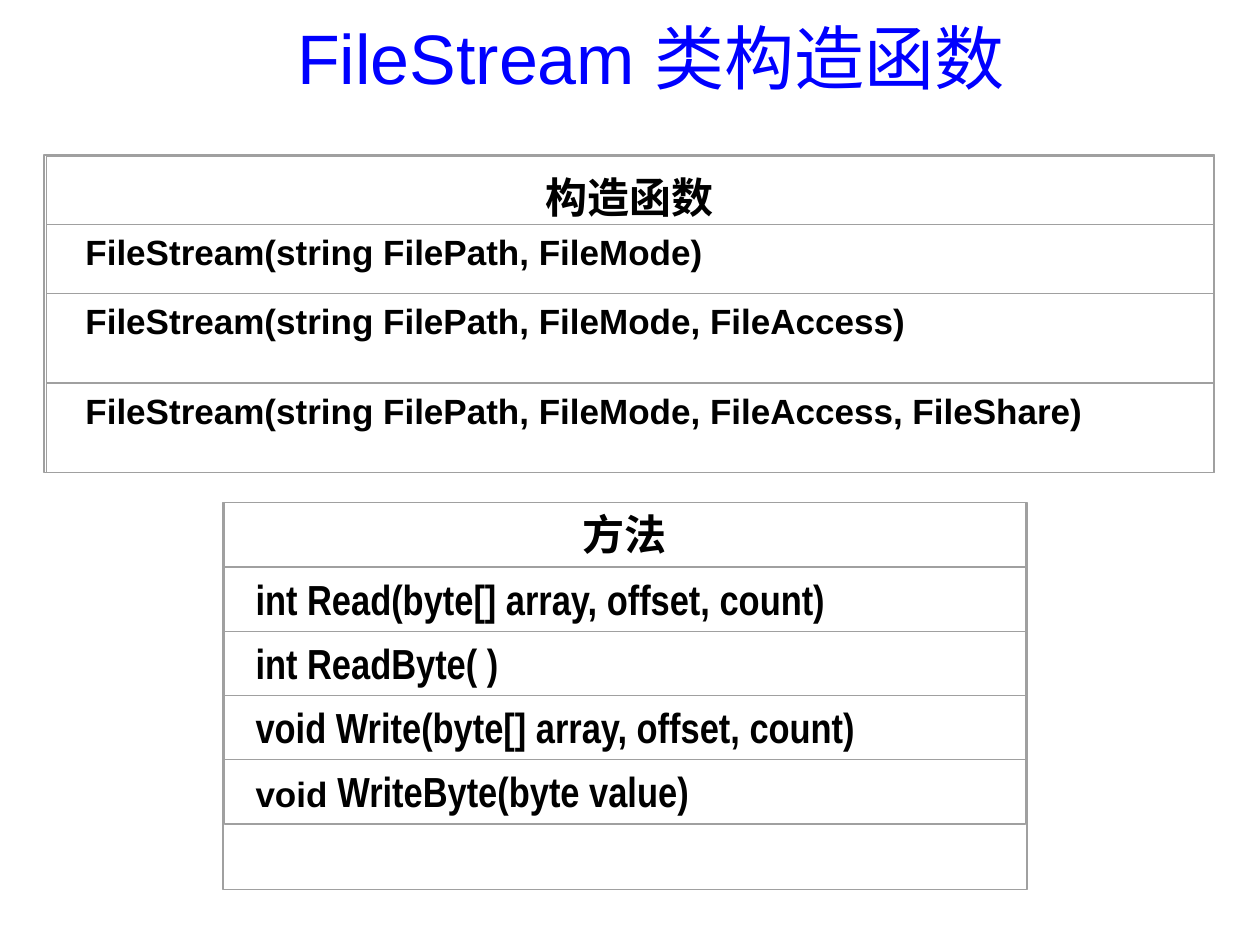
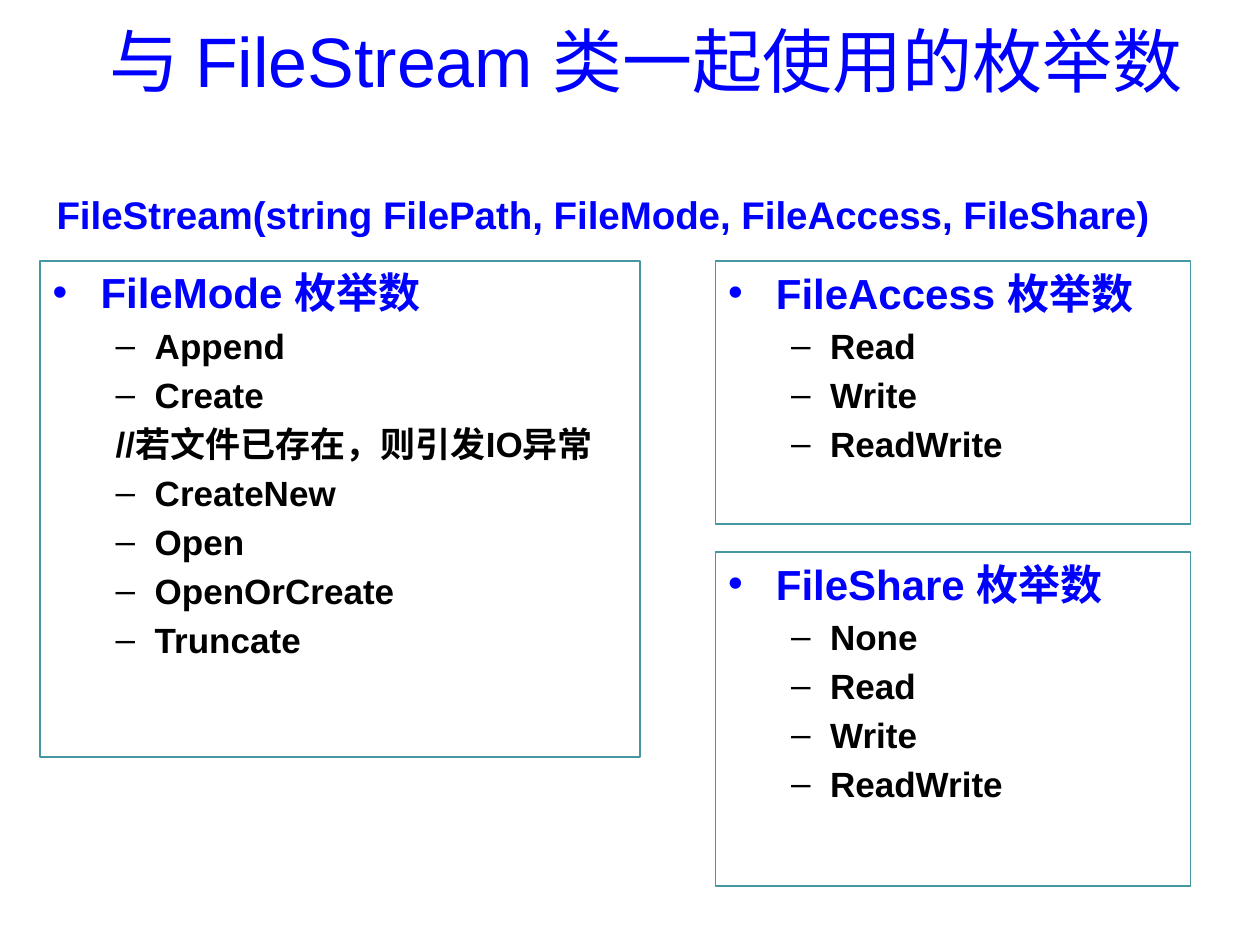
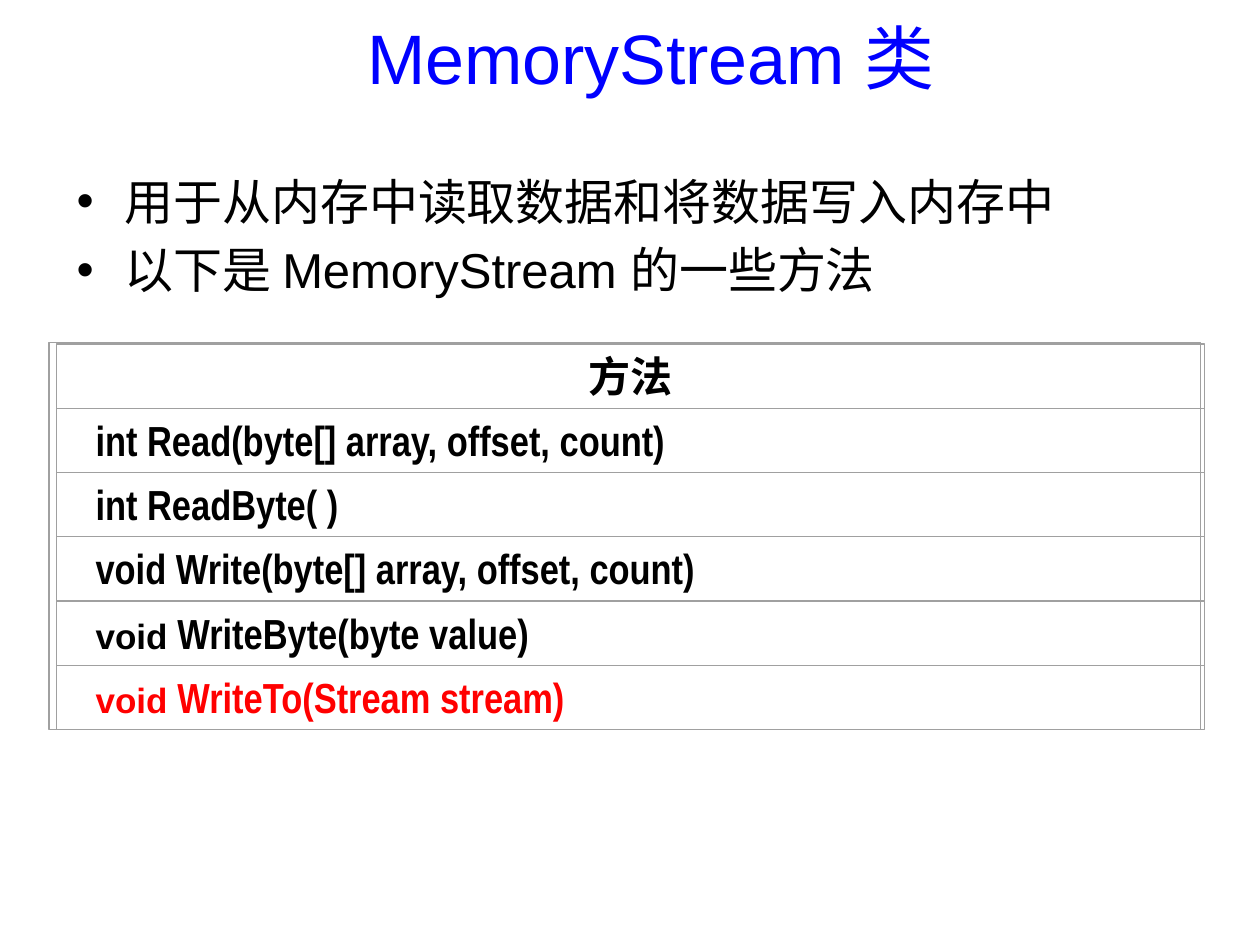
import pptx
import pptx.util
import pptx.dml.color
import pptx.enum.shapes
import pptx.enum.text
import pptx.oxml
import pptx.oxml.ns

Inches = pptx.util.Inches
Pt = pptx.util.Pt
RGBColor = pptx.dml.color.RGBColor
Align = pptx.enum.text.PP_ALIGN
Anchor = pptx.enum.text.MSO_ANCHOR

BLUE = RGBColor(0x00, 0x00, 0xFF)
BLACK = RGBColor(0x00, 0x00, 0x00)
RED = RGBColor(0xFF, 0x00, 0x00)
GRAY = RGBColor(0xA0, 0xA0, 0xA0)
TEAL = RGBColor(0x45, 0x97, 0xA0)

TITLE = {"name": "Arial", "size": Pt(40)}
BODY = {"name": "Arial", "size": Pt(28)}
HEADING = {"name": "Arial", "size": Pt(24), "bold": True}
SIGNATURE = {"name": "Arial", "size": Pt(22), "bold": True}
ITEM = {"name": "Arial", "size": Pt(20), "bold": True}
METHOD = {"name": "Arial Narrow", "size": Pt(24), "bold": True}

NO_INSETS = {"margin_left": 0, "margin_right": 0, "margin_top": 0, "margin_bottom": 0}
TITLE_BOX = (1.25, 0.12, 7.83, 0.65)
ROW_HEIGHT = 0.51
BULLET_INDENT = (0.38, -0.38)
DASH_INDENT = (0.81, -0.31)
COMMENT_INDENT = (0.5, 0)

FULL_SIGNATURE = "FileStream(string FilePath, FileMode, FileAccess, FileShare)"
CONSTRUCTORS = [
    [("FileStream(string FilePath, FileMode)", ITEM, BLACK)],
    [("FileStream(string FilePath, FileMode, FileAccess)", ITEM, BLACK)],
    [(FULL_SIGNATURE, ITEM, BLACK)],
]
STREAM_METHODS = [
    [("int Read(byte[] array, offset, count)", METHOD, BLACK)],
    [("int ReadByte( )", METHOD, BLACK)],
    [("void Write(byte[] array, offset, count)", METHOD, BLACK)],
    [("void ", ITEM, BLACK), ("WriteByte(byte value)", METHOD, BLACK)],
]
WRITE_TO = [("void ", ITEM, RED), ("WriteTo(Stream stream)", METHOD, RED)]

ENUMS = [
    ((0.32, 2.07, 4.76, 3.94), "FileMode 枚举数",
     ["Append", "Create", "//若文件已存在，则引发IO异常", "CreateNew", "Open",
      "OpenOrCreate", "Truncate"]),
    ((5.68, 2.07, 3.77, 2.09), "FileAccess 枚举数", ["Read", "Write", "ReadWrite"]),
    ((5.68, 4.38, 3.77, 2.65), "FileShare 枚举数",
     ["None", "Read", "Write", "ReadWrite"]),
]


def set_values(target, values):
    for key, value in values.items():
        setattr(target, key, value)


def to_inches(box):
    return [Inches(length) for length in box]


def add_run(paragraph, text, style, color):
    run = paragraph.add_run()
    run.text = text
    set_values(run.font, style)
    run.font.color.rgb = color


def add_bullet(paragraph, indent, mark):
    properties = paragraph._p.get_or_add_pPr()
    margin, first_line = indent
    properties.set("marL", str(Inches(margin)))
    properties.set("indent", str(Inches(first_line)))
    tags = ['buFont typeface="Arial"', f'buChar char="{mark}"'] if mark else ["buNone"]
    for tag in tags:
        properties.append(pptx.oxml.parse_xml(
            f'<a:{tag} {pptx.oxml.ns.nsdecls("a")}/>'))


def fill_list(frame, entries, space):
    for index, (text, style, color, level, indent, mark) in enumerate(entries):
        paragraph = frame.add_paragraph() if index else frame.paragraphs[0]
        add_bullet(paragraph, indent, mark)
        set_values(paragraph, {"level": level, "alignment": Align.LEFT})
        if index:
            paragraph.space_before = Pt(space)
        add_run(paragraph, text, style, color)


def add_text(slide, box, anchor=Anchor.TOP):
    frame = slide.shapes.add_textbox(*to_inches(box)).text_frame
    set_values(frame, {"word_wrap": True, "vertical_anchor": anchor})
    return frame


def add_title(slide, text, box=TITLE_BOX):
    paragraph = add_text(slide, box, Anchor.MIDDLE).paragraphs[0]
    paragraph.alignment = Align.CENTER
    add_run(paragraph, text, TITLE, BLUE)


def add_frame(slide, box, color, width):
    frame = slide.shapes.add_shape(
        pptx.enum.shapes.MSO_SHAPE.RECTANGLE, *to_inches(box))
    frame.shadow.inherit = False
    frame.fill.background()
    frame.line.color.rgb = color
    frame.line.width = Pt(width)
    return frame


def add_row(slide, box, side_gap, runs, alignment):
    left, top, width, height = box
    frame = add_text(slide, (left + side_gap, top, width - 2 * side_gap, height))
    paragraph = frame.paragraphs[0]
    paragraph.alignment = alignment
    for text, style, color in runs:
        add_run(paragraph, text, style, color)
    add_frame(slide, box, GRAY, 0)
    return frame


def add_signature_list(slide, box, frame_box, heading, rows, heights, side_gap):
    left, top, width = box
    header = add_row(slide, (left, top, width, heights[0]), side_gap,
                     [(heading, HEADING, BLACK)], Align.CENTER)
    for index, runs in enumerate(rows, 1):
        row_box = (left, top + sum(heights[:index]), width, heights[index])
        add_row(slide, row_box, side_gap, runs, Align.LEFT)
    add_frame(slide, frame_box, GRAY, 0.87)
    return header


def add_enum_box(slide, box, heading, members):
    frame = add_frame(slide, box, TEAL, 1).text_frame
    set_values(frame, {"word_wrap": True, "vertical_anchor": Anchor.TOP})
    entries = [(heading, HEADING, BLUE, 0, BULLET_INDENT, "•")]
    for member in members:
        is_comment = member.startswith("//")
        entries.append((member, ITEM, BLACK, 1,
                        COMMENT_INDENT if is_comment else DASH_INDENT,
                        "" if is_comment else "–"))
    fill_list(frame, entries, 4)


def build_constructors(slide):
    add_title(slide, "FileStream 类构造函数")
    header = add_signature_list(
        slide, (0.37, 1.24, 9.26), (0.35, 1.23, 9.29, 2.52),
        "构造函数", CONSTRUCTORS, [0.54, 0.55, 0.71, 0.71], 0.21)
    set_values(header, NO_INSETS)
    header.paragraphs[0].line_spacing = 1.3
    add_signature_list(slide, (1.78, 3.99, 6.36), (1.77, 3.99, 6.38, 3.07),
                       "方法", STREAM_METHODS, [ROW_HEIGHT] * 5, 0.15)


def build_enums(slide):
    add_title(slide, "与 FileStream 类一起使用的枚举数", (0.25, 0, 9.75, 0.94))
    for box, heading, members in ENUMS:
        add_enum_box(slide, box, heading, members)
    signature = add_text(slide, (0.35, 1.47, 9.29, 0.47))
    add_run(signature.paragraphs[0], FULL_SIGNATURE, SIGNATURE, BLUE)


def build_memory_stream(slide):
    add_title(slide, "MemoryStream 类")
    points = ["用于从内存中读取数据和将数据写入内存中", "以下是 MemoryStream 的一些方法"]
    fill_list(add_text(slide, (0.51, 1.31, 8.99, 5.43)),
              [(point, BODY, BLACK, 0, BULLET_INDENT, "•") for point in points], 5.6)
    add_signature_list(slide, (0.45, 2.73, 9.11), (0.39, 2.72, 9.14, 3.07),
                       "方法", STREAM_METHODS + [WRITE_TO], [ROW_HEIGHT] * 6, 0.21)


def main():
    deck = pptx.Presentation()
    set_values(deck, {"slide_width": Inches(10), "slide_height": Inches(7.5)})
    for build in (build_constructors, build_enums, build_memory_stream):
        build(deck.slides.add_slide(deck.slide_layouts[6]))
    deck.save("out.pptx")


if __name__ == "__main__":
    main()
